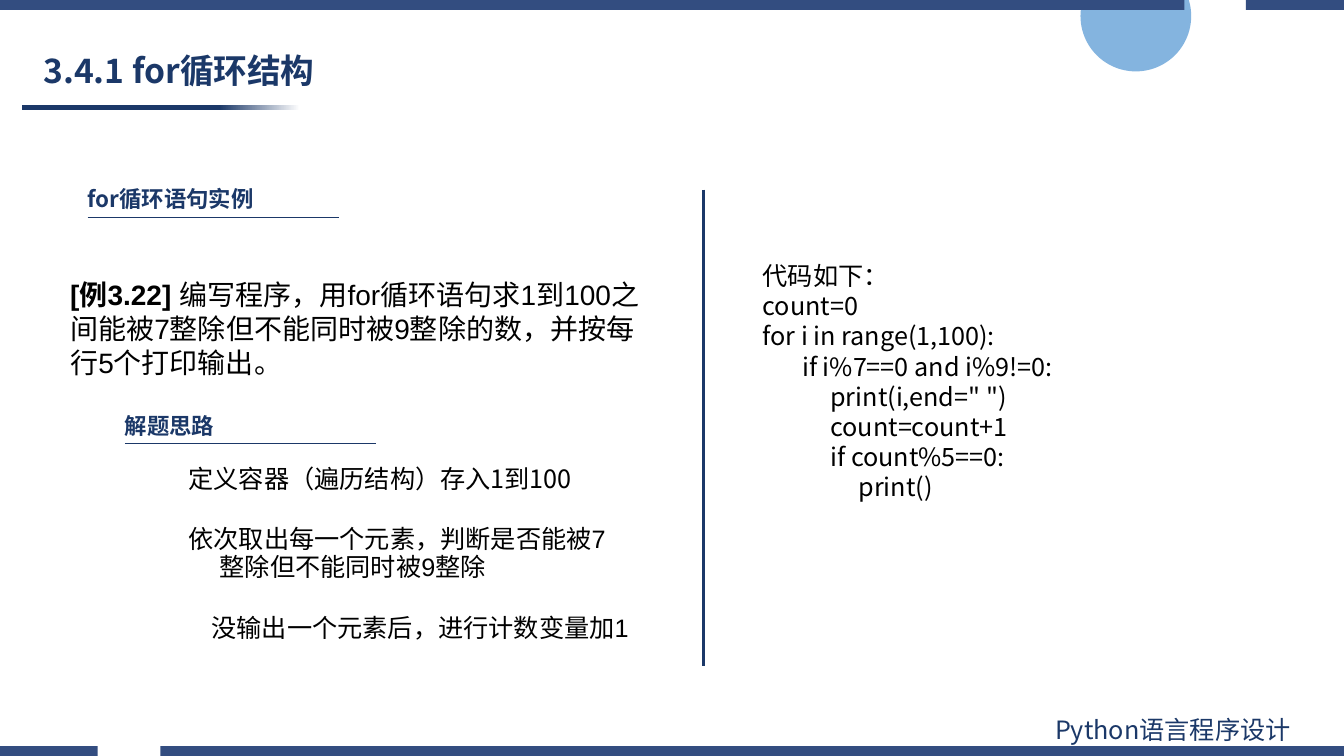
from dataclasses import dataclass

from lxml import etree
from pptx import Presentation
from pptx import util as u
from pptx.dml.color import RGBColor
from pptx.enum import shapes, text
from pptx.oxml.ns import qn


@dataclass(frozen=True)
class Theme:
    """Colours, fonts and type sizes of the slide."""
    navy: str = "1B3868"
    bar: str = "334D80"
    sky: str = "5B9BD5"
    white: str = "FFFFFF"
    black: str = "000000"
    sans: str = "Noto Sans CJK SC"
    latin: str = "Arial"
    note: str = "Calibri"
    title: int = 24
    lead: int = 20
    body: int = 18
    head: int = 16


class Deck:
    """Draws styled elements on the current slide."""

    def __init__(self, theme):
        """Open a deck with one title-only slide."""
        self.theme = theme
        self.prs = Presentation()
        self.prs.slide_width, self.prs.slide_height = u.Cm(33.87), u.Cm(19.05)
        self.slide = self.prs.slides.add_slide(self.prs.slide_layouts[5])
        self.items = self.slide.shapes

    def style(self, para, size, face=None, tint=None, bold=False):
        """Set the font of a whole paragraph."""
        font = para.font
        font.size, font.name, font.bold = u.Pt(size), face or self.theme.sans, bold
        font.color.rgb = RGBColor.from_string(tint or self.theme.black)

    def paint(self, shape, tint):
        """Give a shape a flat fill with no line or shadow."""
        shape.shadow.inherit = False
        shape.line.fill.background()
        shape.fill.solid()
        shape.fill.fore_color.rgb = RGBColor.from_string(tint)

    def title(self, words, box):
        """Move, fill and format the title placeholder."""
        name = self.items.title
        name.left, name.top, name.width, name.height = map(u.Cm, box)
        frame = name.text_frame
        frame.text = words
        frame.auto_size = text.MSO_AUTO_SIZE.NONE
        frame.vertical_anchor = text.MSO_ANCHOR.MIDDLE
        para = frame.paragraphs[0]
        para.alignment, para.line_spacing = text.PP_ALIGN.LEFT, 0.9
        self.style(para, self.theme.title, tint=self.theme.navy, bold=True)

    def text(self, lines, box, size, **look):
        """Add a wrapped text box and return its paragraphs."""
        frame = self.items.add_textbox(*map(u.Cm, box)).text_frame
        frame.word_wrap = True
        frame.text = "\n".join(lines)
        for para in frame.paragraphs:
            self.style(para, size, **look)
        return frame.paragraphs

    def line(self, start, end, width):
        """Add a straight navy line."""
        rule = self.items.add_connector(
            shapes.MSO_CONNECTOR.STRAIGHT, *map(u.Cm, start + end))
        rule.line.width = u.Pt(width)
        rule.line.color.rgb = RGBColor.from_string(self.theme.navy)
        etree.SubElement(rule._element.spPr, qn("a:effectLst"))

    def disc(self, box, tint, alpha):
        """Add a translucent circle."""
        disc = self.items.add_shape(shapes.MSO_SHAPE.OVAL, *map(u.Cm, box))
        self.paint(disc, tint)
        clr = disc._element.spPr.find(qn("a:solidFill"))[0]
        etree.SubElement(clr, qn("a:alpha"), val=str(alpha * 1000))

    def fade(self, box):
        """Add a bar that fades to white at its right end."""
        bar = self.items.add_shape(shapes.MSO_SHAPE.RECTANGLE, *map(u.Cm, box))
        self.paint(bar, self.theme.navy)
        bar.fill.gradient()
        bar.fill.gradient_angle = 0
        tints = (0.71, self.theme.navy), (1, self.theme.white)
        for stop, (place, tint) in zip(bar.fill.gradient_stops, tints):
            stop.position = place
            stop.color.rgb = RGBColor.from_string(tint)

    def band(self, spans, top, high):
        """Add one outline made of several level strips."""
        pen = self.items.build_freeform(u.Cm(spans[0][0]), u.Cm(top))
        for left, right in spans:
            pen.move_to(u.Cm(left), u.Cm(top))
            pen.add_line_segments(
                [(u.Cm(x), u.Cm(y)) for x, y in
                 ((right, top), (right, top + high), (left, top + high))])
        self.paint(pen.convert_to_shape(), self.theme.bar)

    def head(self, words, left, top):
        """Add a section heading with a thin rule under it."""
        self.text([words], (left, top, 8.64, 0.94), self.theme.head,
                  tint=self.theme.navy, bold=True)
        self.line((left + 0.25, top + 0.92), (left + 6.58, top + 0.92), 0.5)

    def step(self, words, left, top, high, pitch, face):
        """Add one step with a hanging indent."""
        para, = self.text([words], (left, top, 14, high), self.theme.body, face=face)
        para.line_spacing = u.Pt(pitch)
        props = para._p.get_or_add_pPr()
        props.set("marL", str(u.Cm(3.33)))
        props.set("indent", str(u.Cm(-0.79)))


def main():
    """Build the slide and save it."""
    look = Theme()
    deck = Deck(look)
    deck.disc((27.23, -0.99, 2.79, 2.79), look.sky, 75)
    deck.fade((0.55, 2.65, 7.01, 0.13))
    deck.band([(0, 2.46), (4.04, 33.87)], 18.8, 0.25)
    deck.band([(0, 29.85), (31.4, 33.87)], 0, 0.25)
    deck.text(["Python语言程序设计"], (26.34, 17.88, 7.47, 1.02), look.body,
              tint=look.navy)
    deck.title("3.4.1 for循环结构", (0.84, 1.12, 9.07, 1.42))

    deck.head("for循环语句实例", 1.96, 4.55)
    deck.line((17.73, 4.78), (17.73, 16.79), 2)
    task, = deck.text(["[例3.22] "], (1.52, 6.88, 15.34, 2.82), look.lead,
                      face=look.latin)
    task.runs[0].font.bold = True
    task.add_run().text = ("编写程序，用for循环语句求1到100之间能被7整除"
                           "但不能同时被9整除的数，并按每行5个打印输出。")

    code = deck.text([
        "代码如下：",
        "count=0",
        "for i in range(1,100):",
        "       if i%7==0 and i%9!=0:",
        "            print(i,end=\" \")",
        "            count=count+1",
        "            if count%5==0:",
        "                 print()",
    ], (18.97, 6.43, 11.81, 6.4), look.body)
    code[0].alignment = text.PP_ALIGN.JUSTIFY
    code[0].font.name = look.note

    deck.head("解题思路", 2.9, 10.26)
    for step in (
        ("定义容器（遍历结构）存入1到100", 1.96, 11.79, 0.79, 15, look.sans),
        ("依次取出每一个元素，判断是否能被7整除但不能同时被9整除",
         1.96, 13.11, 1.68, 20, look.latin),
        ("没输出一个元素后，进行计数变量加1", 2.54, 15.37, 0.97, 20, look.latin),
    ):
        deck.step(*step)
    deck.prs.save("out.pptx")


if __name__ == "__main__":
    main()
